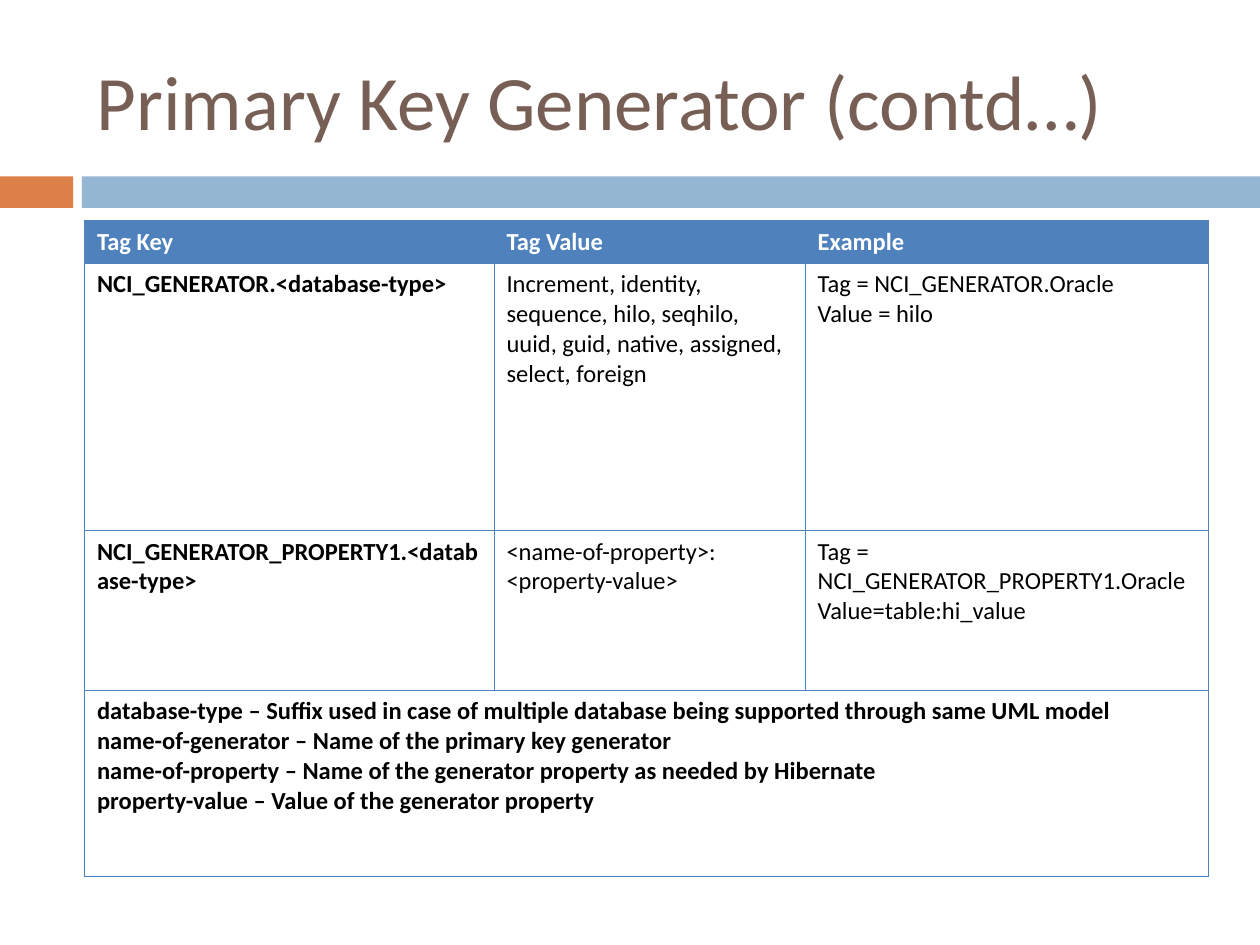
from dataclasses import dataclass

from lxml import etree
from pptx import Presentation
from pptx.dml.color import RGBColor
from pptx.enum.shapes import MSO_SHAPE
from pptx.enum.text import MSO_ANCHOR
from pptx.oxml.ns import qn
from pptx.util import Inches, Pt

RECTANGLE = MSO_SHAPE.RECTANGLE
MIDDLE = MSO_ANCHOR.MIDDLE


@dataclass(frozen=True)
class Theme:
    font: str = "Calibri"
    title_size: float = 44
    table_size: float = 14
    title: str = "775F55"
    accent: str = "DD8047"
    band: str = "94B6D2"
    table: str = "4F81BD"
    header_text: str = "FFFFFF"
    body_text: str = "000000"
    border_width: float = 0.45


THEME = Theme()
TITLE = "Primary Key Generator (contd…)"
HEADERS = ["Tag Key", "Tag Value", "Example"]
GENERATOR_TAGS = [
    [
        "NCI_GENERATOR.<database-type>",
        "Increment, identity, sequence, hilo, seqhilo, uuid, guid, native, "
        "assigned, select, foreign",
        "Tag = NCI_GENERATOR.Oracle\nValue = hilo",
    ],
    [
        "NCI_GENERATOR_PROPERTY1.<database-type>",
        "<name-of-property>: <property-value>",
        "Tag = NCI_GENERATOR_PROPERTY1.Oracle\nValue=table:hi_value",
    ],
]
DEFINITIONS = "\n".join([
    "database-type – Suffix used in case of multiple database being supported "
    "through same UML model",
    "name-of-generator – Name of the primary key generator",
    "name-of-property – Name of the generator property as needed by Hibernate",
    "property-value – Value of the generator property",
])
COLUMN_WIDTHS = [3.25, 2.47, 3.2]
ROW_HEIGHTS = [0.34, 2.12, 1.27, 1.48]
LEFT, TABLE_TOP = 0.67, 1.75
WIDTH = sum(COLUMN_WIDTHS)
BANDS = [(0, 0.58, THEME.accent), (0.65, 9.35, THEME.band)]


def write(frame, text, size, color, bold=False):
    frame.text = text
    frame.word_wrap = True
    for paragraph in frame.paragraphs:
        for run in paragraph.runs:
            run.font.name = THEME.font
            run.font.size = Pt(size)
            run.font.bold = bold
            run.font.color.rgb = RGBColor.from_string(color)


def add_borders(cell):
    properties = cell._tc.get_or_add_tcPr()
    for side in ("lnL", "lnR", "lnT", "lnB"):
        line = etree.SubElement(properties, qn(f"a:{side}"), w=str(Pt(THEME.border_width)))
        fill = etree.SubElement(line, qn("a:solidFill"))
        etree.SubElement(fill, qn("a:srgbClr"), val=THEME.table)


def add_bands(slide):
    for left, width, color in BANDS:
        band = slide.shapes.add_shape(
            RECTANGLE, Inches(left), Inches(1.4), Inches(width), Inches(0.25))
        band.shadow.inherit = False
        band.fill.solid()
        band.fill.fore_color.rgb = RGBColor.from_string(color)
        band.line.fill.background()


def add_title(slide):
    title = slide.shapes.add_textbox(
        Inches(LEFT), Inches(0.25), Inches(WIDTH), Inches(1.08)).text_frame
    write(title, TITLE, THEME.title_size, THEME.title)
    title.vertical_anchor = MIDDLE


def add_tag_table(slide):
    rows = [HEADERS, *GENERATOR_TAGS, [DEFINITIONS, "", ""]]
    table = slide.shapes.add_table(
        len(rows), len(HEADERS), Inches(LEFT), Inches(TABLE_TOP),
        Inches(WIDTH), Inches(sum(ROW_HEIGHTS))).table
    table.horz_banding = False
    for column, width in zip(table.columns, COLUMN_WIDTHS):
        column.width = Inches(width)
    for row, height in zip(table.rows, ROW_HEIGHTS):
        row.height = Inches(height)
    for r, texts in enumerate(rows):
        is_header = r == 0
        color = THEME.header_text if is_header else THEME.body_text
        for c, text in enumerate(texts):
            cell = table.cell(r, c)
            add_borders(cell)
            if is_header:
                cell.fill.solid()
                cell.fill.fore_color.rgb = RGBColor.from_string(THEME.table)
            else:
                cell.fill.background()
            if text:
                write(cell.text_frame, text, THEME.table_size, color, is_header or c == 0)
    last = len(rows) - 1
    table.cell(last, 0).merge(table.cell(last, len(HEADERS) - 1))


def main():
    presentation = Presentation()
    presentation.slide_width = Inches(10)
    presentation.slide_height = Inches(7.5)
    slide = presentation.slides.add_slide(presentation.slide_layouts[6])
    add_bands(slide)
    add_title(slide)
    add_tag_table(slide)
    presentation.save("out.pptx")


if __name__ == "__main__":
    main()
